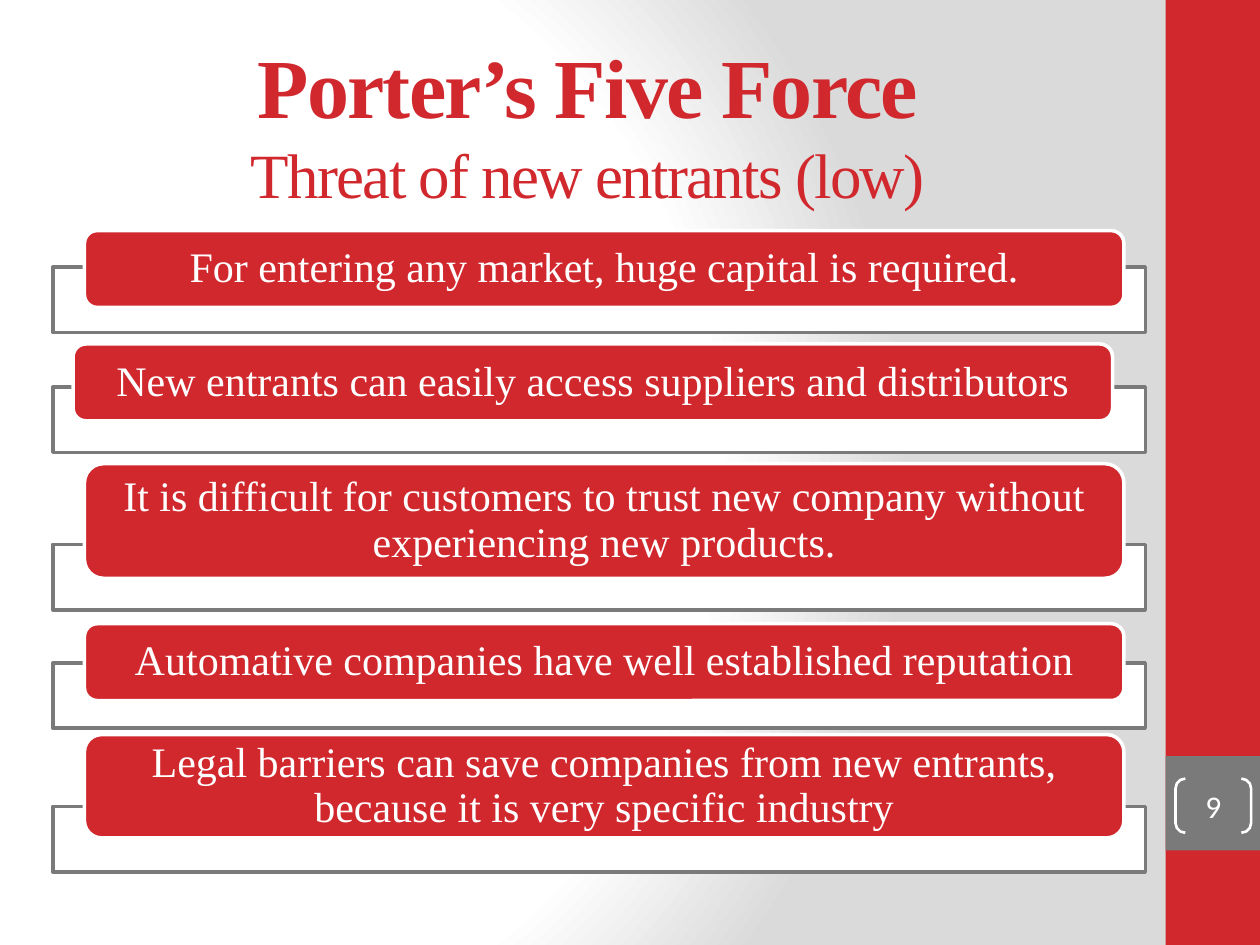
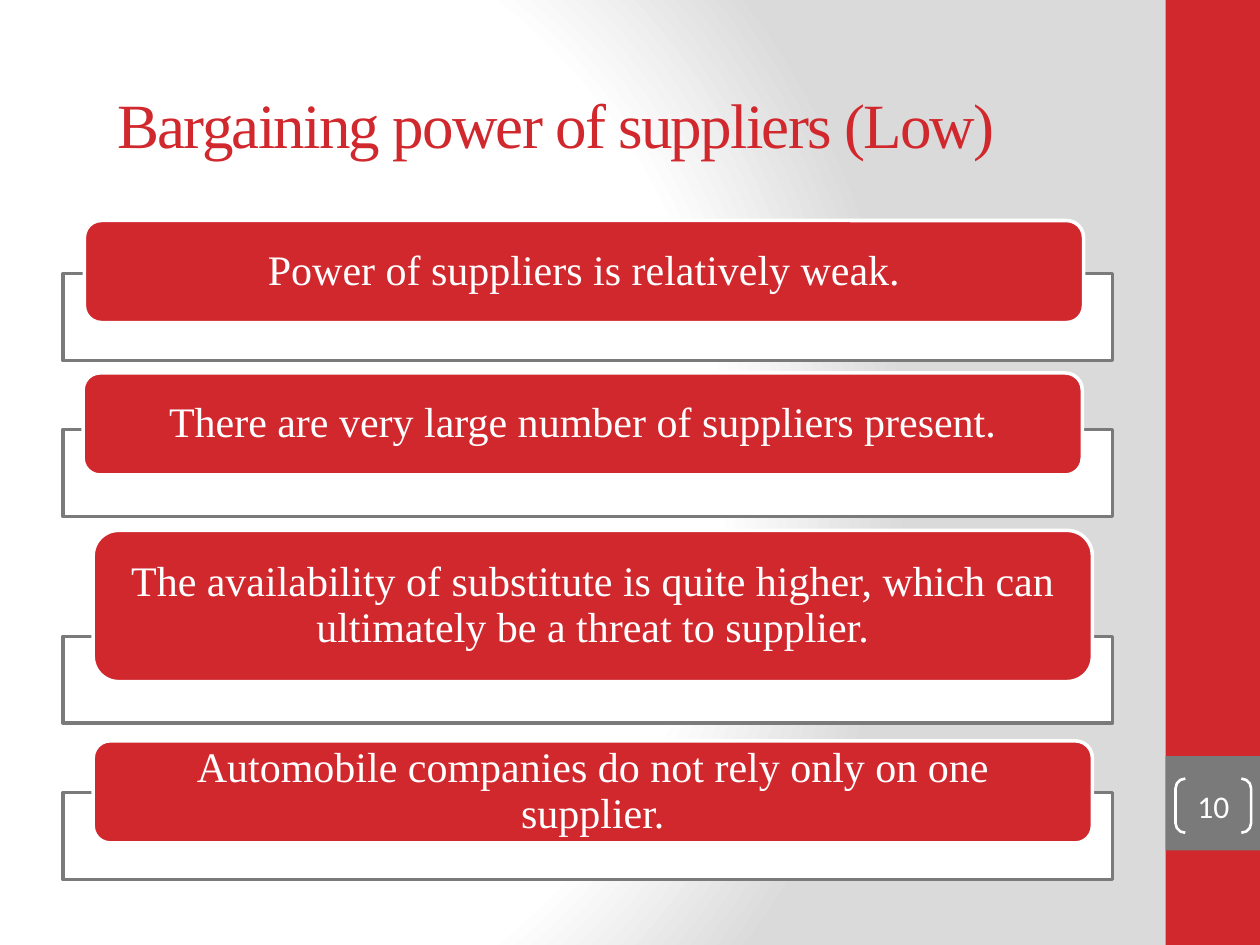
from dataclasses import dataclass

from pptx import Presentation
from pptx.dml.color import RGBColor
from pptx.enum.shapes import MSO_SHAPE
from pptx.enum.text import MSO_ANCHOR, PP_ALIGN
from pptx.oxml import parse_xml
from pptx.oxml.ns import nsdecls, qn
from pptx.util import Inches, Pt

RED, GRAY, WHITE, SILVER = "D1282E", "7A7A7A", "FFFFFF", "DADADA"
SERIF, SANS = "Times New Roman", "Calibri"
BAND_LEFT, BAND_WIDTH = 9.25, 0.75
GRADIENT_STOPS = [(0, WHITE), (75, WHITE), (100, SILVER)]


@dataclass
class Heading:
    text: str
    size: int = 36
    bold: bool = False


@dataclass
class Row:
    """One point: a red card lying over a white panel."""
    text: str
    panel_top: float
    card_left: float
    card_top: float
    card_height: float


@dataclass
class Page:
    number: int
    title_left: float
    title_width: float
    headings: list[Heading]
    panel_left: float
    panel_width: float
    panel_height: float
    card_width: float
    card_inset: float
    rows: list[Row]


PAGES = [
    Page(9, 0.5, 8.33,
         [Heading("Porter’s Five Force", 48, True), Heading("Threat of new entrants (low)")],
         0.42, 8.67, 0.52, 8.25, 0.23,
         [Row("For entering any market, huge capital is required.", 2.12, 0.67, 1.83, 0.61),
          Row("New entrants can easily access suppliers and distributors", 3.07, 0.58, 2.73, 0.61),
          Row("It is difficult for customers to trust new company without "
              "experiencing new products.", 4.32, 0.67, 3.68, 0.91),
          Row("Automative companies have well established reputation", 5.26, 0.67, 4.95, 0.61),
          Row("Legal barriers can save companies from new entrants, "
              "because it is very specific industry", 6.4, 0.67, 5.83, 0.82)]),
    Page(10, 0, 8.83,
         [Heading("Bargaining power of suppliers (Low)")],
         0.5, 8.33, 0.69, 7.93, 0.22,
         [Row("Power of suppliers is relatively weak.", 2.17, 0.67, 1.75, 0.81),
          Row("There are very large number of suppliers present.", 3.41, 0.66, 2.96, 0.81),
          Row("The availability of substitute is quite higher, which can "
              "ultimately be a threat to supplier.", 5.05, 0.74, 4.21, 1.2),
          Row("Automobile companies do not rely only on one supplier.", 6.29, 0.74, 5.88, 0.81)]),
]


def rgb(color: str) -> RGBColor:
    return RGBColor.from_string(color)


def add_box(s, kind, left: float, top: float, width: float, height: float,
            fill: str | None = None, line: str | None = None, weight: float = 2):
    sp = s.shapes.add_shape(kind, Inches(left), Inches(top), Inches(width), Inches(height))
    sp.shadow.inherit = False
    if fill:
        sp.fill.solid()
        sp.fill.fore_color.rgb = rgb(fill)
    else:
        sp.fill.background()
    if line:
        sp.line.color.rgb = rgb(line)
        sp.line.width = Pt(weight)
    else:
        sp.line.fill.background()
    return sp


def prepare_frame(tf, inset: float = 0) -> None:
    tf.word_wrap = True
    tf.vertical_anchor = MSO_ANCHOR.MIDDLE
    tf.margin_left = tf.margin_right = Inches(inset)
    tf.margin_top = tf.margin_bottom = 0


def write(p, text: str, *, size: float, color: str, font: str = SERIF, bold: bool = False,
          line_spacing: float = 1.0, tracking: float = 0) -> None:
    """Fill a centred paragraph; tracking is in points."""
    p.alignment = PP_ALIGN.CENTER
    p.line_spacing = line_spacing
    r = p.add_run()
    r.text = text
    r.font.name = font
    r.font.size = Pt(size)
    r.font.bold = bold
    r.font.color.rgb = rgb(color)
    if tracking:
        r.font._element.set("spc", str(int(tracking * 100)))


def paint_background(s) -> None:
    s.background.fill.solid()
    stops = "".join(f'<a:gs pos="{pos * 1000}"><a:srgbClr val="{color}"/></a:gs>'
                    for pos, color in GRADIENT_STOPS)
    gradient = parse_xml(
        f'<a:gradFill {nsdecls("a")} rotWithShape="1"><a:gsLst>{stops}</a:gsLst>'
        '<a:path path="circle"><a:fillToRect l="20000" t="50000" r="100000" b="50000"/>'
        '</a:path></a:gradFill>')
    solid = s._element.find(".//" + qn("p:bgPr")).find(qn("a:solidFill"))
    solid.getparent().replace(solid, gradient)


def add_side_band(s, number: int) -> None:
    add_box(s, MSO_SHAPE.RECTANGLE, BAND_LEFT, 0, BAND_WIDTH, 7.5, RED)
    add_box(s, MSO_SHAPE.RECTANGLE, BAND_LEFT, 6, BAND_WIDTH, BAND_WIDTH, GRAY)
    bracket = add_box(s, MSO_SHAPE.DOUBLE_BRACKET, 9.33, 6.18, 0.6, 0.43,
                      line=WHITE, weight=1.5)
    bracket.adjustments[0] = 0.18
    prepare_frame(bracket.text_frame)
    write(bracket.text_frame.paragraphs[0], str(number), size=18, color=WHITE, font=SANS)


def add_title(s, page: Page) -> None:
    box = s.shapes.add_textbox(Inches(page.title_left), Inches(0.35),
                               Inches(page.title_width), Inches(1.25))
    tf = box.text_frame
    prepare_frame(tf, 0.1)
    for i, heading in enumerate(page.headings):
        p = tf.add_paragraph() if i else tf.paragraphs[0]
        write(p, heading.text, size=heading.size, color=RED, bold=heading.bold, tracking=-1)


def add_row(s, page: Page, row: Row) -> None:
    add_box(s, MSO_SHAPE.RECTANGLE, page.panel_left, row.panel_top,
            page.panel_width, page.panel_height, WHITE, GRAY)
    card = add_box(s, MSO_SHAPE.ROUNDED_RECTANGLE, row.card_left, row.card_top,
                   page.card_width, row.card_height, RED, WHITE)
    prepare_frame(card.text_frame, page.card_inset)
    write(card.text_frame.paragraphs[0], row.text, size=24, color=WHITE, line_spacing=0.9)


def main() -> None:
    prs = Presentation()
    prs.slide_width, prs.slide_height = Inches(10), Inches(7.5)
    for page in PAGES:
        s = prs.slides.add_slide(prs.slide_layouts[6])
        paint_background(s)
        add_side_band(s, page.number)
        add_title(s, page)
        for row in page.rows:
            add_row(s, page, row)
    prs.save("out.pptx")


if __name__ == "__main__":
    main()
